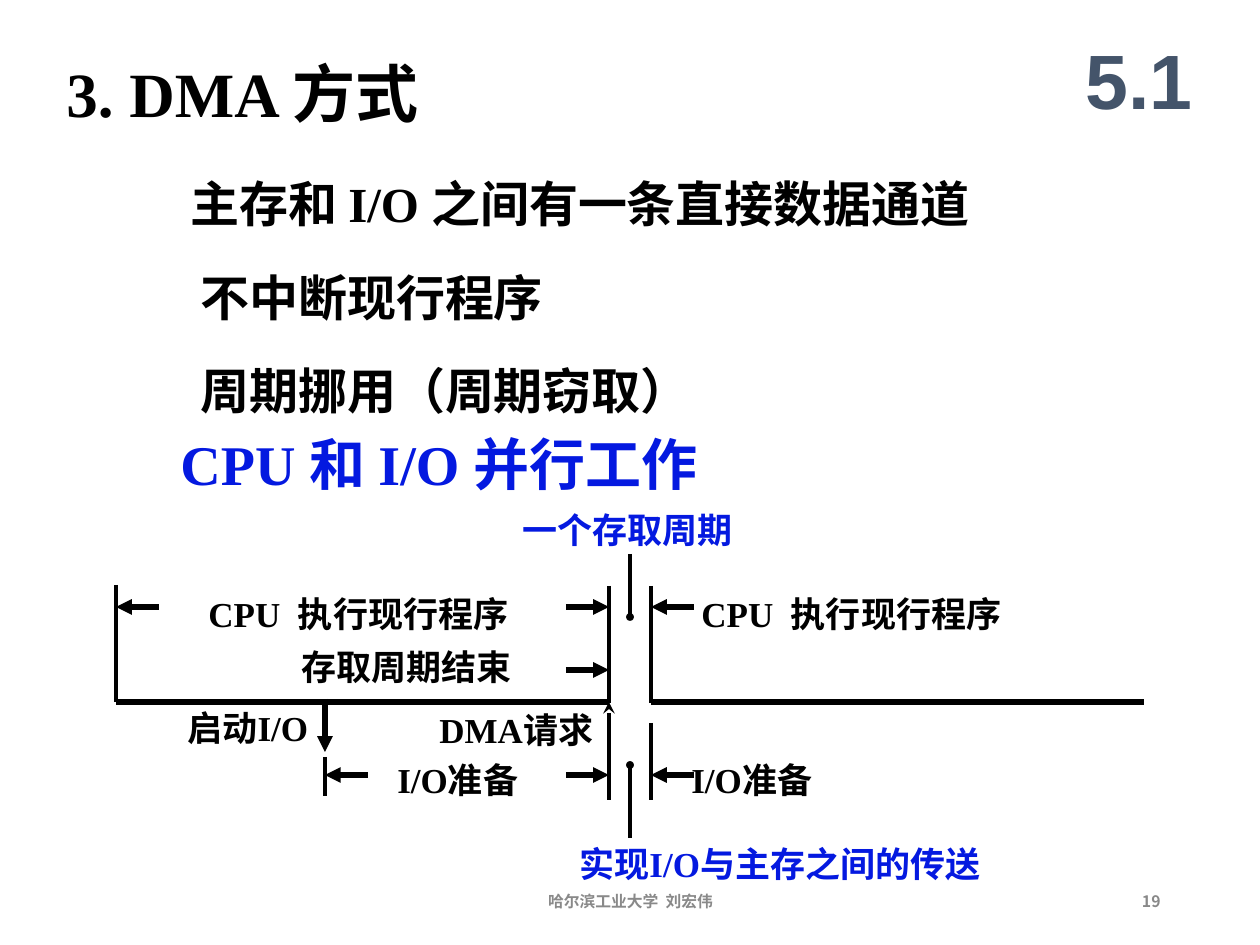
"""Build the slide on DMA and its timing diagram."""
from lxml.etree import SubElement as Sub
from pptx import Presentation as Deck
from pptx.dml.color import RGBColor as Rgb
from pptx.enum.shapes import MSO_CONNECTOR as Link
from pptx.enum.text import MSO_ANCHOR as Anchor, MSO_AUTO_SIZE as Auto, PP_ALIGN as Align
from pptx.oxml.ns import qn
from pptx.util import Pt

PX = 914400 / 126
INK = {"black": "000000", "blue": "0419E0", "slate": "44546A", "gray": "898989"}
SERIF, SANS, HAN = "Times New Roman", "Arial", "Noto Sans CJK SC"

HEADS = [
    ("3. DMA 方式", (54, 48, 396, 88), 36, "black"),
    ("主存和 I/O 之间有一条直接数据通道", (178, 167, 828, 72), 28, "black"),
    ("不中断现行程序", (188, 261, 370, 72), 28, "black"),
    ("周期挪用（周期窃取）", (188, 354, 520, 72), 28, "black"),
    ("CPU 和 I/O 并行工作", (168, 423, 588, 81), 32, "blue"),
]
LABELS = [
    ("存取周期结束", 289, 639, 236, "black"),
    ("CPU  执行现行程序", 196, 586, 334, "black"),
    ("CPU  执行现行程序", 689, 586, 334, "black"),
    ("DMA请求", 427, 702, 188, "black"),
    ("启动I/O", 175, 700, 154, "black"),
    ("I/O准备", 385, 752, 154, "black"),
    ("I/O准备", 679, 752, 154, "black"),
    ("一个存取周期", 510, 502, 236, "blue"),
]
NOTE = ("实现I/O与主存之间的传送", (567, 836, 451, 55))
MARKS = [
    ("5.1", (1060, 21, 158, 116), 44, "slate", SANS, Align.CENTER, 0),
    ("19", (889, 876, 284, 50), 9, "gray", HAN, Align.RIGHT, 2.2),
    ("哈尔滨工业大学  刘宏伟", (418, 876, 425, 50), 9, "gray", HAN, Align.CENTER, 2.2),
]

LEFT, START, STOP, MID, BACK, END = 116, 325, 609, 630, 651, 1144
BASE, CPU, CYCLE, IO = 702, 607, 670, 775
STUB = 43
BARS = [(LEFT, 585, BASE), (STOP, 586, BASE + 1), (BACK, 586, BASE + 1),
        (BACK, 723, 800), (START, 757, 796)]
ARROWS = [(STOP, CYCLE, -1), (LEFT, CPU, 1), (STOP, CPU, -1), (BACK, CPU, 1),
          (START, IO, 1), (STOP, IO, -1), (BACK, IO, 1)]
PINS = [(554, 617), (838, 765)]

deck = Deck()
deck.slide_width, deck.slide_height = round(1260 * PX), round(945 * PX)
slide = deck.slides.add_slide(deck.slide_layouts[6])


def emu(*nums):
    return [round(n * PX) for n in nums]


def write(text, box, size=20, ink="black", font=SERIF, align=Align.LEFT,
          anchor=Anchor.TOP, before=0, wrap=False, auto=Auto.SHAPE_TO_FIT_TEXT):
    frame = slide.shapes.add_textbox(*emu(*box)).text_frame
    frame.word_wrap, frame.auto_size, frame.vertical_anchor = wrap, auto, anchor
    para = frame.paragraphs[0]
    para.alignment, para.space_before = align, Pt(before)
    run = para.add_run()
    run.text = text
    run.font.size, run.font.bold, run.font.name = Pt(size), True, font
    run.font.color.rgb = Rgb.from_string(INK[ink])
    Sub(run.font._element, qn("a:ea"), typeface=HAN)


def draw(x1, y1, x2, y2, width=2.25, head=None, tail=None, scale="med"):
    line = slide.shapes.add_connector(Link.STRAIGHT, *emu(x1, y1, x2, y2))
    line.line.width = Pt(width)
    line.line.color.rgb = Rgb.from_string(INK["black"])
    for tag, kind in (("a:headEnd", head), ("a:tailEnd", tail)):
        if kind:
            Sub(line.line._get_or_add_ln(), qn(tag), type=kind, w=scale, len=scale)
    Sub(line._element.spPr, qn("a:effectLst"))


for text, box, size, ink in HEADS:
    write(text, box, size=size, ink=ink)

for x1, x2 in ((LEFT, STOP), (BACK, END)):
    draw(x1, BASE, x2, BASE, width=3)
for x, top, low in BARS:
    draw(x, top, x, low)
draw(STOP, BASE, STOP, 800, head="stealth")
for x, y, side in ARROWS:
    draw(x + side * STUB, y, x, y, width=3, tail="triangle")
draw(START, 699, START, 752, width=3, tail="triangle")
for y1, y2 in PINS:
    draw(MID, y1, MID, y2, tail="oval", scale="sm")

for text, x, y, wide, ink in LABELS:
    write(text, (x, y, wide, 55), ink=ink)
write(*NOTE, ink="blue", wrap=True)
for text, box, size, ink, font, align, before in MARKS:
    write(text, box, size=size, ink=ink, font=font, align=align, before=before,
          anchor=Anchor.MIDDLE, wrap=True, auto=Auto.NONE)

deck.save("out.pptx")
